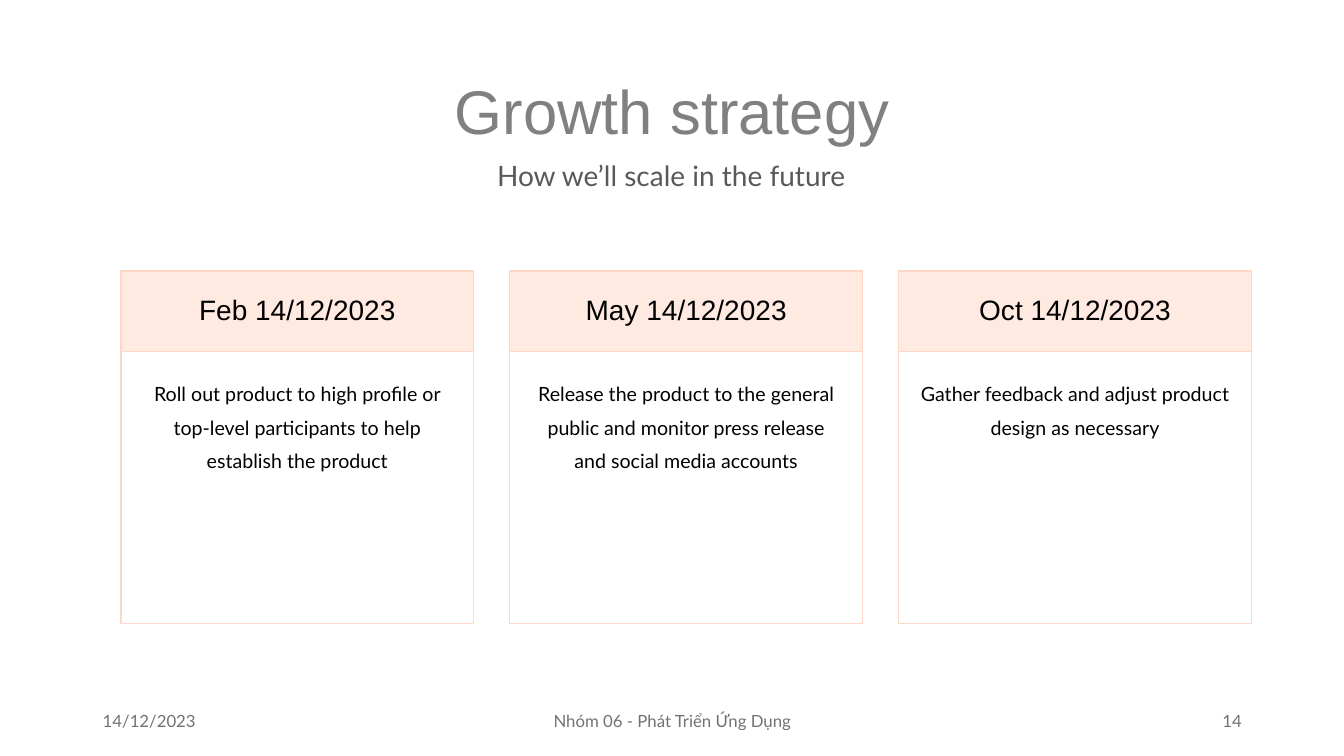
from lxml.etree import SubElement
from pptx import Presentation
from pptx.dml.color import RGBColor
from pptx.enum.shapes import MSO_SHAPE
from pptx.enum.text import MSO_ANCHOR, MSO_AUTO_SIZE, PP_ALIGN
from pptx.oxml.ns import qn
from pptx.util import Cm, Pt

hues = {
    "title": "808080",
    "sub": "595959",
    "peach": "FFD7C7",
    "text": "000000",
    "foot": "767171",
}


def write(shape, text, size, face, hue, anchor=MSO_ANCHOR.TOP,
          align=PP_ALIGN.CENTER, space=0.9, pad=(0.25, 0.13, 0.25, 0.13)):
    frame = shape.text_frame
    frame.word_wrap = True
    frame.auto_size = MSO_AUTO_SIZE.NONE
    frame.vertical_anchor = anchor
    frame.margin_left, frame.margin_top, frame.margin_right, frame.margin_bottom = map(Cm, pad)
    para = frame.paragraphs[0]
    para.alignment = align
    para.line_spacing = space
    para.space_before = Pt(0)
    run = para.add_run()
    run.text = text
    run.font.size = Pt(size)
    run.font.name = face
    run.font.color.rgb = RGBColor.from_string(hues[hue])


def place(shape, left, top, width, height):
    shape.left, shape.top = Cm(left), Cm(top)
    shape.width, shape.height = Cm(width), Cm(height)


deck = Presentation()
deck.slide_width = Cm(33.87)
deck.slide_height = Cm(19.05)
slide = deck.slides.add_slide(deck.slide_layouts[1])
shapes = slide.shapes

title = shapes.title
place(title, 2.34, 1.02, 29.21, 2.95)
write(title, "Growth strategy", 44, "Arial", "title", MSO_ANCHOR.BOTTOM,
      pad=(0.25, 0.13, 0.25, 0.25))

sub = slide.placeholders[1]
place(sub, 2.31, 3.96, 29.21, 1.27)
props = sub.text_frame.paragraphs[0]._p.get_or_add_pPr()
props.set("marL", "0")
props.set("indent", "0")
SubElement(props, qn("a:buNone"))
write(sub, "How we’ll scale in the future", 20, "Lato", "sub")

cards = [
    ("Feb 14/12/2023", "Roll out product to high profile or top-level participants to help establish the product"),
    ("May 14/12/2023", "Release the product to the general public and monitor press release and social media accounts"),
    ("Oct 14/12/2023", "Gather feedback and adjust product design as necessary"),
]
peach = RGBColor.from_string(hues["peach"])
for col, (date, goal) in enumerate(cards):
    left = 3.05 + col * 9.8
    head = shapes.add_shape(MSO_SHAPE.RECTANGLE, Cm(left), Cm(6.83), Cm(8.89), Cm(2.03))
    body = shapes.add_shape(MSO_SHAPE.RECTANGLE, Cm(left), Cm(8.86), Cm(8.89), Cm(6.86))
    for box in (head, body):
        box.shadow.inherit = False
        box.line.color.rgb = peach
        box.line.width = Pt(0.75)
    head.fill.solid()
    head.fill.fore_color.rgb = peach
    tint = head._element.spPr.find(qn("a:solidFill")).find(qn("a:srgbClr"))
    SubElement(tint, qn("a:alpha")).set("val", "50000")
    body.fill.background()
    write(head, date, 20, "Arial", "text", MSO_ANCHOR.MIDDLE)
    write(body, goal, 14, "Lato", "text", space=Pt(24), pad=(0.51, 0.51, 0.51, 0.13))

notes = [
    ("14/12/2023", 2.34, 7.62, PP_ALIGN.LEFT),
    ("Nhóm 06 - Phát Triển Ứng Dụng", 11.23, 11.43, PP_ALIGN.CENTER),
    ("14", 23.93, 7.62, PP_ALIGN.RIGHT),
]
for text, left, width, align in notes:
    foot = shapes.add_textbox(Cm(left), Cm(17.65), Cm(width), Cm(1.02))
    write(foot, text, 12, "Lato", "foot", MSO_ANCHOR.MIDDLE, align, 1.0)

deck.save("out.pptx")
